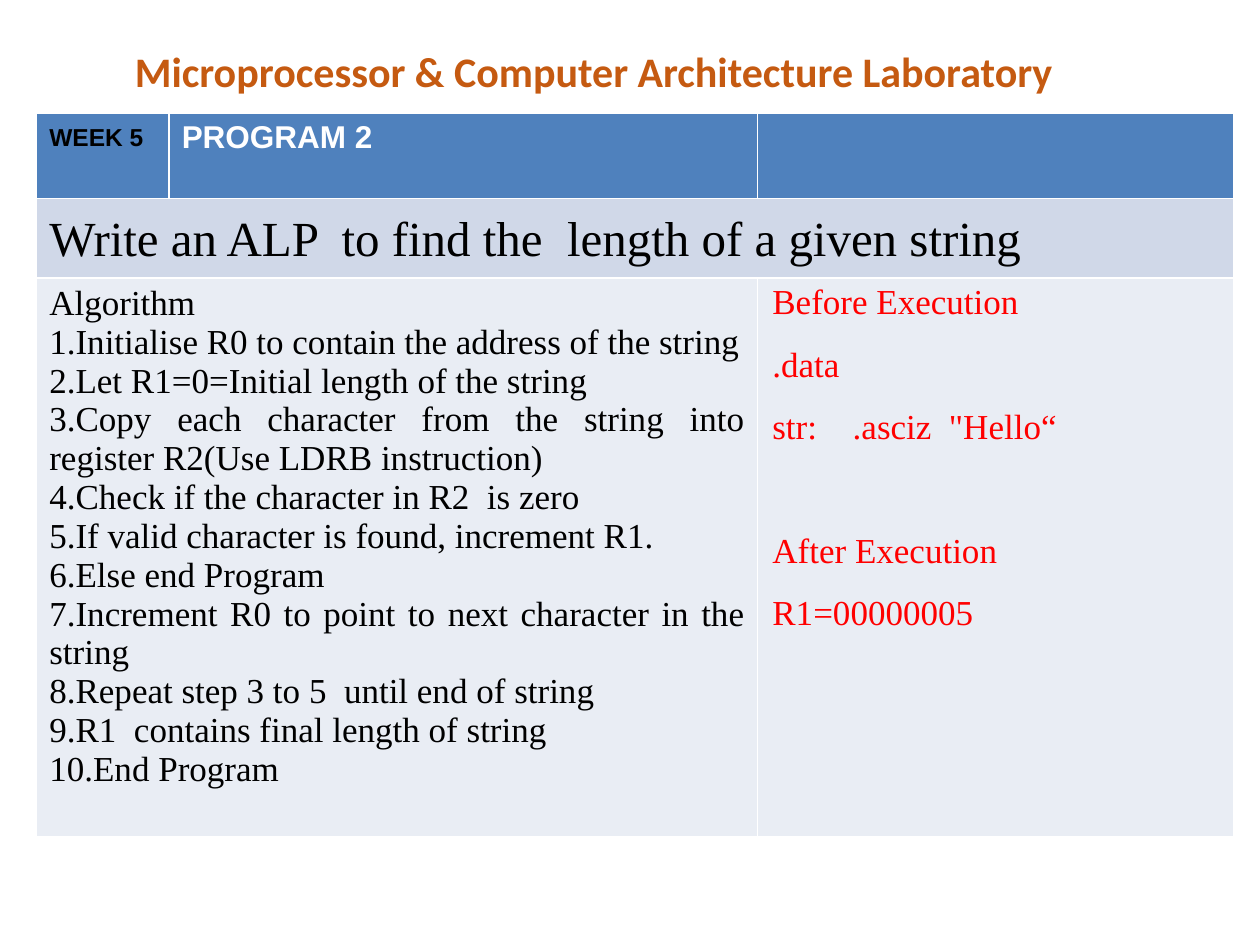
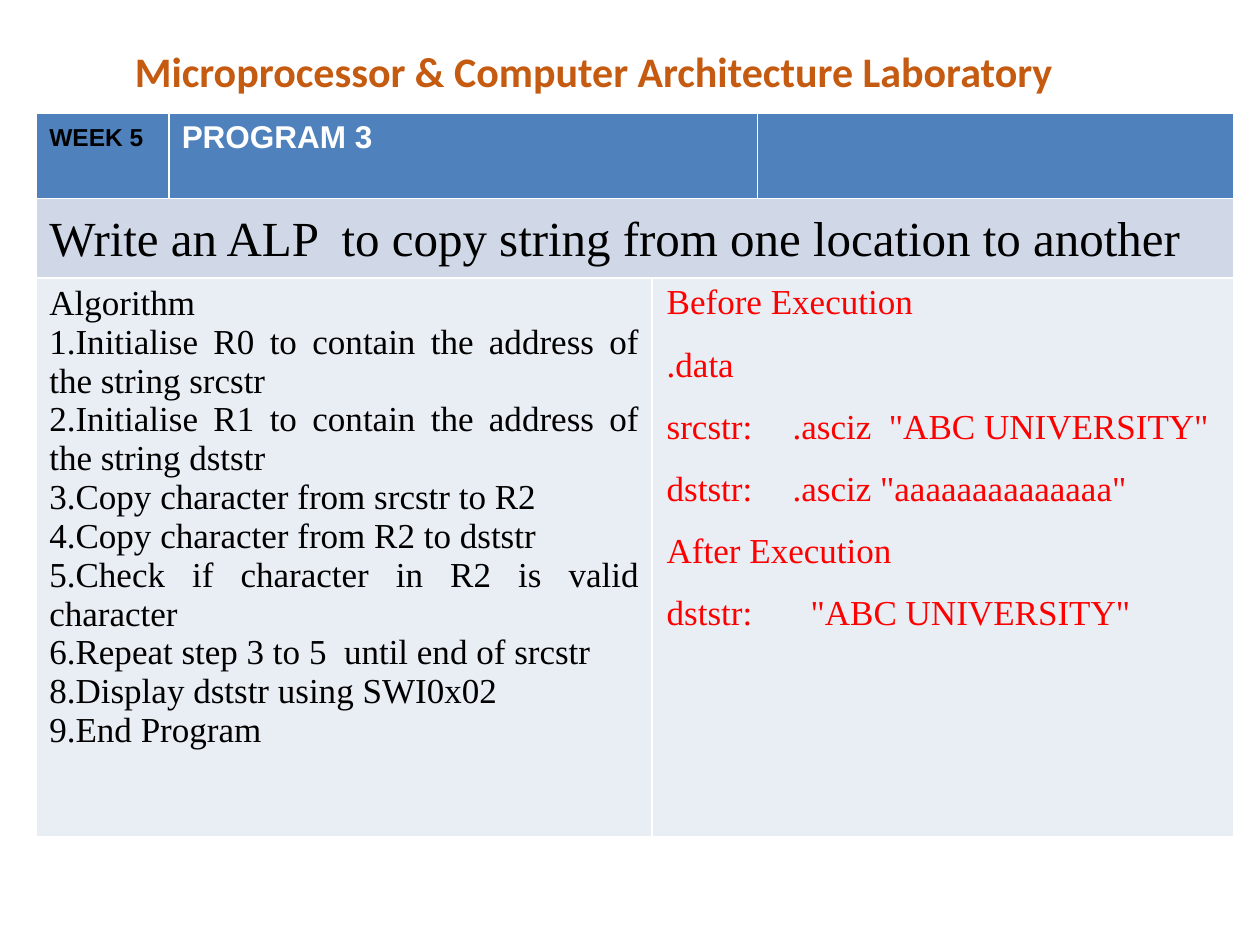
from pptx import Presentation
from pptx.dml.color import RGBColor as Rgb
from pptx.enum.text import MSO_ANCHOR as Anchor, PP_ALIGN as Align
from pptx.oxml.ns import qn
from pptx.util import Cm, Pt
from lxml.etree import SubElement as Sub

HUES = {
    "title": "C55A11", "head": "4F81BD", "task": "D0D8E8", "body": "E9EDF4",
    "black": "000000", "white": "FFFFFF", "red": "FF0000",
}
SERIF = "Times New Roman"
ROWS = [1.71, 1.6, 11.27]
TITLE = "Microprocessor & Computer Architecture Laboratory"

LABS = [
    {
        "name": "PROGRAM 2",
        "task": "Write an ALP  to find the  length of a given string",
        "cols": [2.67, 11.86, 9.61],
        "steps": [
            "Algorithm",
            "1.Initialise R0 to contain the address of the string",
            "2.Let R1=0=Initial length of the string",
            "3.Copy each character from the string into register R2(Use LDRB instruction)",
            "4.Check if the character in R2  is zero",
            "5.If valid character is found, increment R1.",
            "6.Else end Program",
            "7.Increment R0 to point to next character in the string",
            "8.Repeat step 3 to 5  until end of string",
            "9.R1  contains final length of string",
            "10.End Program",
        ],
        "before": [(".data", 0), ("str:\t.asciz  \"Hello“", 1.62)],
        "after": [("R1=00000005", 0)],
        "gap": 35.5,
    },
    {
        "name": "PROGRAM 3",
        "task": "Write an ALP  to copy string from one location to another",
        "cols": [2.67, 9.73, 2.13, 9.61],
        "steps": [
            "Algorithm",
            "1.Initialise R0 to contain the address of the string srcstr",
            "2.Initialise R1 to contain the address of the string dststr",
            "3.Copy character from srcstr to R2",
            "4.Copy character from R2 to dststr",
            "5.Check if character in R2 is valid character",
            "6.Repeat step 3 to 5  until end of srcstr",
            "8.Display dststr using SWI0x02",
            "9.End Program",
        ],
        "before": [
            (".data", 0),
            ("srcstr:\t.asciz  \"ABC UNIVERSITY\"", 2.54),
            ("dststr:\t.asciz \"aaaaaaaaaaaaaa\"", 2.54),
        ],
        "after": [("dststr:\t\"ABC UNIVERSITY\"", 2.9)],
        "gap": 0,
    },
]


def style(para, face, size, hue, bold=False, align=Align.JUSTIFY):
    para.alignment = align
    font = para.font
    font.name, font.size, font.bold = face, Pt(size), bold
    font.color.rgb = Rgb.from_string(HUES[hue])


def write(cell, lines, *look, **more):
    frame = cell.text_frame
    frame.text = "\n".join(lines)
    for para in frame.paragraphs:
        style(para, *look, **more)
    return frame.paragraphs


deck = Presentation()
deck.slide_width, deck.slide_height = Cm(25.4), Cm(19.05)

for lab in LABS:
    slide = deck.slides.add_slide(deck.slide_layouts[5])
    title = slide.shapes.title
    title.left, title.top, title.width, title.height = Cm(0.64), Cm(0.79), Cm(22.66), Cm(1.27)
    title.text_frame.vertical_anchor = Anchor.MIDDLE
    write(title, [TITLE], "Calibri", 24, "title", bold=True, align=Align.CENTER)

    cols = lab["cols"]
    last = len(cols) - 1
    grid = slide.shapes.add_table(
        len(ROWS), len(cols), Cm(0.74), Cm(2.29), Cm(sum(cols)), Cm(sum(ROWS))).table
    for col, wide in zip(grid.columns, cols):
        col.width = Cm(wide)
    for row, tall, hue in zip(grid.rows, ROWS, ["head", "task", "body"]):
        row.height = Cm(tall)
        for cell in row.cells:
            cell.fill.solid()
            cell.fill.fore_color.rgb = Rgb.from_string(HUES[hue])
    for row, start, end in [(0, 1, last - 1), (1, 0, last), (2, 0, 1), (2, 2, last)]:
        if end > start:
            grid.cell(row, start).merge(grid.cell(row, end))

    week = write(grid.cell(0, 0), ["WEEK 5"], "Arial", 14, "black", bold=True)
    write(grid.cell(0, 1), [lab["name"]], "Arial", 18, "white", bold=True, align=Align.LEFT)
    task = write(grid.cell(1, 0), [lab["task"]], SERIF, 28, "black")
    write(grid.cell(2, 0), lab["steps"], SERIF, 20, "black")
    week[0].line_spacing = task[0].line_spacing = 1.15
    task[0].space_after = Pt(10)

    runs = [("Before Execution", 0), *lab["before"], ("After Execution", 0), *lab["after"]]
    cell = grid.cell(2, 2)
    cell.margin_left = cell.margin_right = Cm(0.3)
    cell.margin_top = cell.margin_bottom = 0
    paras = write(cell, [text for text, stop in runs], SERIF, 20, "red")
    for para, (text, stop) in zip(paras, runs):
        para.line_spacing = 1.15
        para.space_after = Pt(10)
        if text == "After Execution":
            para.space_before = Pt(lab["gap"])
        if stop:
            props = para._p.get_or_add_pPr()
            tabs = props.makeelement(qn("a:tabLst"))
            Sub(tabs, qn("a:tab"), pos=str(Cm(stop)), algn="l")
            props.find(qn("a:defRPr")).addprevious(tabs)

deck.save("out.pptx")
